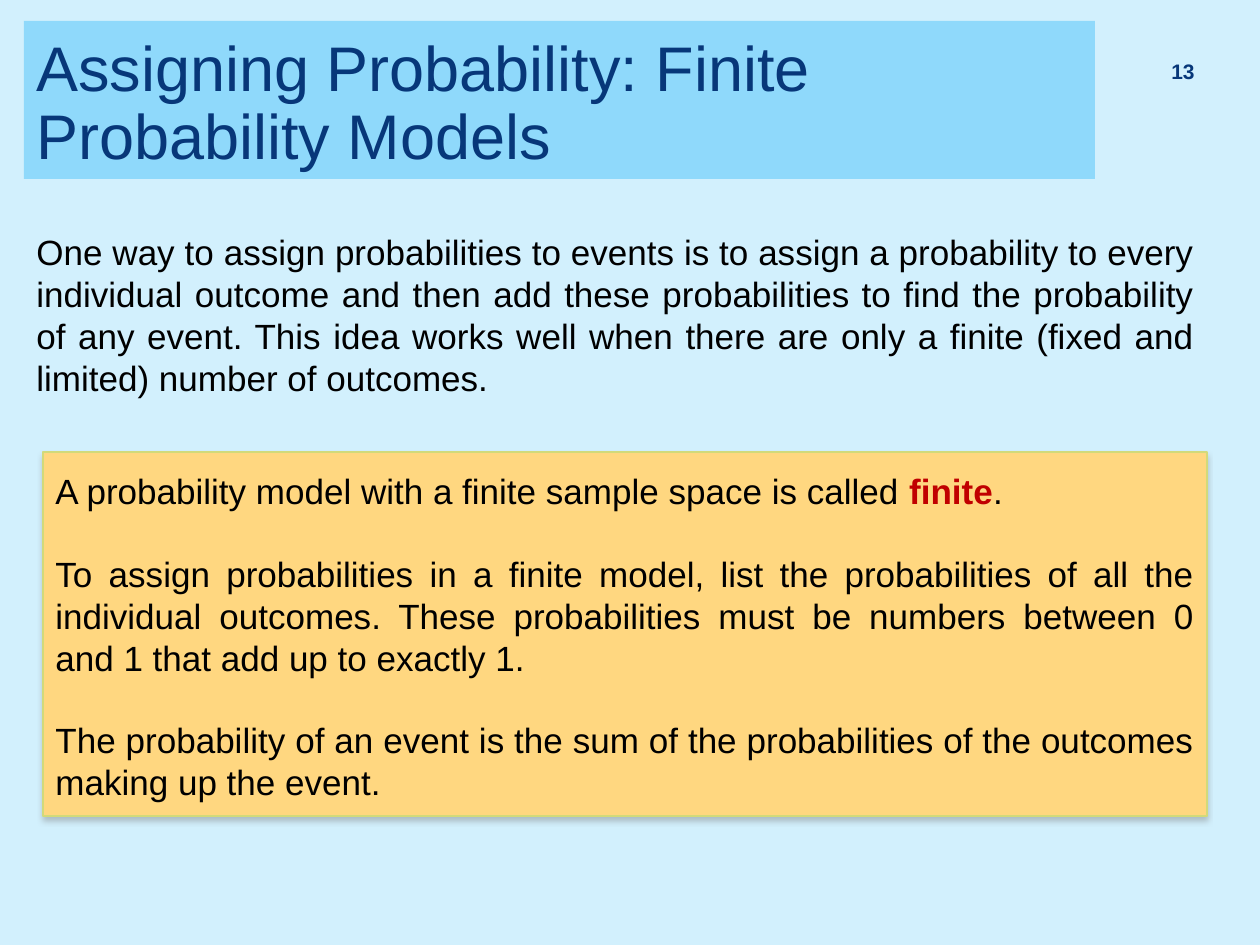
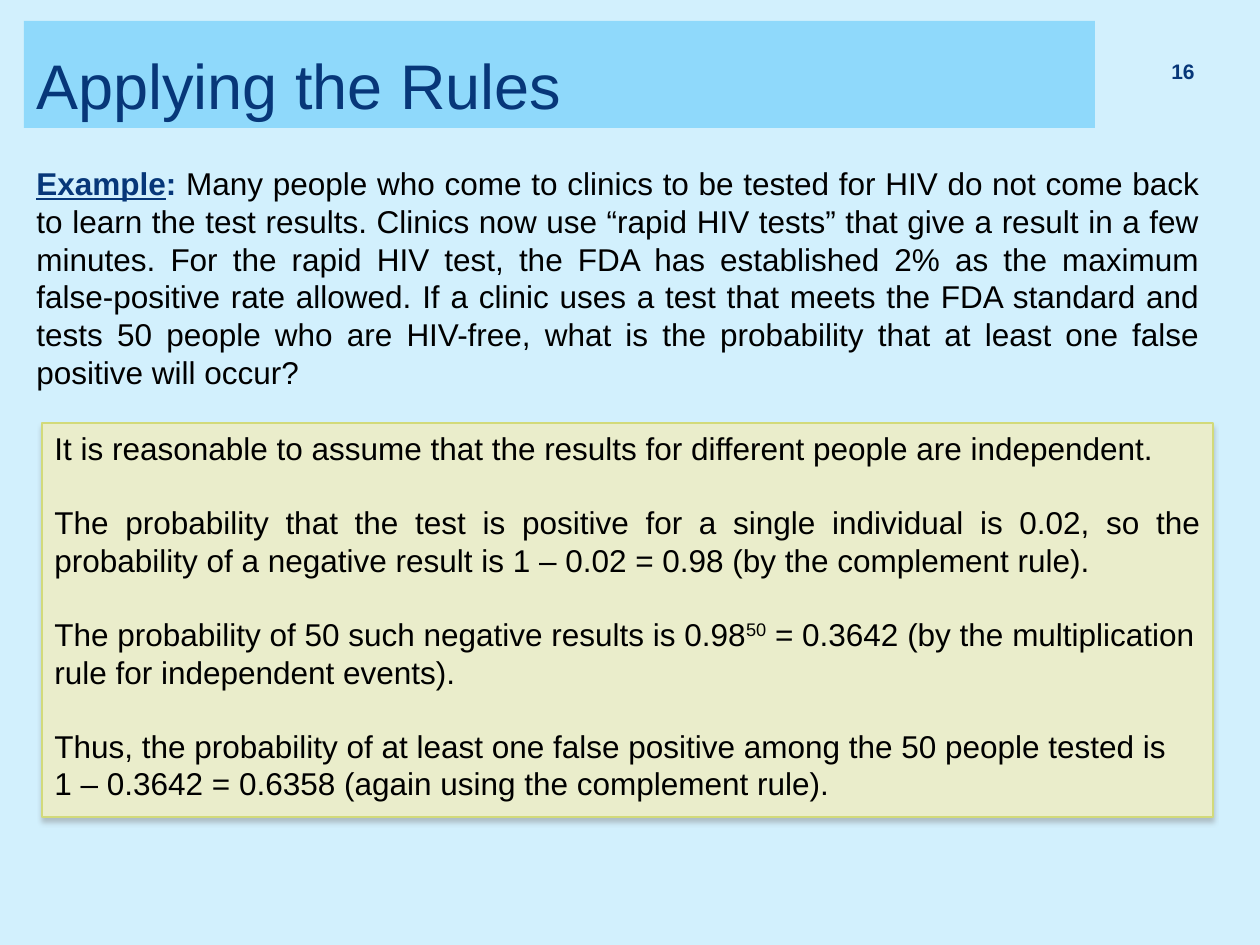
from lxml import etree
from pptx import Presentation
from pptx.dml.color import RGBColor
from pptx.enum.shapes import MSO_SHAPE
from pptx.enum.text import MSO_ANCHOR as ANCHOR, PP_ALIGN as ALIGN
from pptx.oxml.ns import nsdecls
from pptx.util import Pt

PX = 914400 / 126
FONT = "Arial"
LINE_HEIGHT = 1.15  # one Arial line, relative to its size
COLORS = {
    "background": "D2F0FD", "band": "8FD9FB", "navy": "073779",
    "text": "000000", "key": "C00000", "border": "D2DA7A",
    "orange": "FFD780", "green": "EAEDCB", "shadow": "808080",
}
PAGE_NUMBER_AT = (1138, 49, 69, 50)

# Run styles, named in the content below
STYLES = {
    "key": dict(color="key", bold=True),
    "label": dict(color="navy", bold=True, underline=True),
    "colon": dict(color="navy", bold=True),
    "power": dict(superscript=True),
}

# A paragraph is (alignment, runs); a run is a string or (string, style)
SLIDES = [
    dict(
        title="Assigning Probability: Finite Probability Models",
        title_height=158, title_spacing=0.9, number="13", size=20,
        intro_at=(24, 224, 1183, 183),
        intro=[
            "One way to assign probabilities to events is to assign a probability to every "
            "individual outcome and then add these probabilities to find the probability of "
            "any event. This idea works well when there are only a finite (fixed and limited) "
            "number of outcomes.",
        ],
        box_at=(43, 452, 1164, 364), box_fill="orange", box_inset=18,
        box=[
            (ALIGN.LEFT, ["A probability model with a finite sample space is called ",
                          ("finite", "key"), "."]),
            (ALIGN.JUSTIFY, ["To assign probabilities in a finite model, list the probabilities "
                             "of all the individual outcomes. These probabilities must be "
                             "numbers between 0 and 1 that add up to exactly 1."]),
            (ALIGN.JUSTIFY, ["The probability of an event is the sum of the probabilities of the "
                             "outcomes making up the event."]),
        ],
    ),
    dict(
        title="Applying the Rules",
        title_height=107, title_spacing=1.0, number="16", size=18,
        intro_at=(24, 158, 1188, 247),
        intro=[
            ("Example", "label"), (": ", "colon"),
            "Many people who come to clinics to be tested for HIV do not come back to learn the "
            "test results. Clinics now use “rapid HIV tests” that give a result in a few "
            "minutes. For the rapid HIV test, the FDA has established 2% as the maximum "
            "false-positive rate allowed. If a clinic uses a test that meets the FDA standard "
            "and tests 50 people who are HIV-free, what is the probability that at least one "
            "false positive will occur?",
        ],
        box_at=(42, 423, 1171, 394), box_fill="green", box_inset=6,
        box=[
            (ALIGN.JUSTIFY, ["It is reasonable to assume that the results for different people "
                             "are independent."]),
            (ALIGN.JUSTIFY, ["The probability that the test is positive for a single individual "
                             "is 0.02, so the probability of a negative result is "
                             "1 – 0.02 = 0.98 (by the complement rule)."]),
            (ALIGN.LEFT, ["The probability of 50 such negative results is 0.98", ("50", "power"),
                          " = 0.3642 (by the multiplication rule for independent events)."]),
            (ALIGN.LEFT, ["Thus, the probability of at least one false positive among the 50 "
                          "people tested is\n1 – 0.3642 = 0.6358 (again using the complement "
                          "rule)."]),
        ],
    ),
]


def px(n):
    return round(n * PX)


def rgb(name):
    return RGBColor.from_string(COLORS[name])


def add_run(p, text, size, color="text", bold=False, underline=False, superscript=False):
    """Add text to a paragraph; a newline becomes a line break."""
    for i, line in enumerate(text.split("\n")):
        if i:
            p.add_line_break()
        r = p.add_run()
        r.text = line
        r.font.name, r.font.size = FONT, Pt(size)
        r.font.bold, r.font.underline = bold, underline
        r.font.color.rgb = rgb(color)
        if superscript:
            r.font._element.set("baseline", "30000")


def write(sp, paragraphs, size, anchor=ANCHOR.TOP, spacing=1.0, gap=0, inset=6, **style):
    tf = sp.text_frame
    tf.word_wrap = True
    tf.vertical_anchor = anchor
    tf.margin_top = px(inset)
    for i, (align, runs) in enumerate(paragraphs):
        p = tf.add_paragraph() if i else tf.paragraphs[0]
        p.alignment, p.line_spacing = align, spacing
        if i:
            p.space_before = Pt(gap)
        for run in runs:
            text, name = (run, None) if isinstance(run, str) else run
            add_run(p, text, size, **{**style, **STYLES.get(name, {})})


def add_panel(s, at, fill):
    sp = s.shapes.add_shape(MSO_SHAPE.RECTANGLE, *map(px, at))
    sp.shadow.inherit = False
    sp.fill.solid()
    sp.fill.fore_color.rgb = rgb(fill)
    sp.line.fill.background()
    return sp


def add_text_box(s, at):
    return s.shapes.add_textbox(*map(px, at))


def outline_and_shadow(sp):
    sp.line.color.rgb = rgb("border")
    sp.line.width = Pt(0.79)
    effects = sp._element.spPr.find("{*}effectLst")
    effects.append(etree.fromstring(
        f'<a:outerShdw {nsdecls("a")} blurRad="{Pt(3)}" dist="{Pt(2.4)}" dir="5400000" '
        f'rotWithShape="0"><a:srgbClr val="{COLORS["shadow"]}"><a:alpha val="45000"/>'
        '</a:srgbClr></a:outerShdw>'))


def add_slide(prs, c):
    s = prs.slides.add_slide(prs.slide_layouts[6])
    s.background.fill.solid()
    s.background.fill.fore_color.rgb = rgb("background")

    title = add_panel(s, (24, 21, 1071, c["title_height"]), "band")
    write(title, [(ALIGN.LEFT, [c["title"]])], 36, anchor=ANCHOR.BOTTOM,
          spacing=c["title_spacing"], color="navy")
    write(add_text_box(s, PAGE_NUMBER_AT), [(ALIGN.RIGHT, [c["number"]])], 12,
          anchor=ANCHOR.MIDDLE, spacing=0.8, color="navy", bold=True)
    write(add_text_box(s, c["intro_at"]), [(ALIGN.JUSTIFY, c["intro"])], c["size"])

    box = add_panel(s, c["box_at"], c["box_fill"])
    outline_and_shadow(box)
    write(box, c["box"], c["size"], gap=c["size"] * LINE_HEIGHT, inset=c["box_inset"])


def main():
    prs = Presentation()
    prs.slide_width, prs.slide_height = px(1260), px(945)
    for content in SLIDES:
        add_slide(prs, content)
    prs.save("out.pptx")


if __name__ == "__main__":
    main()
